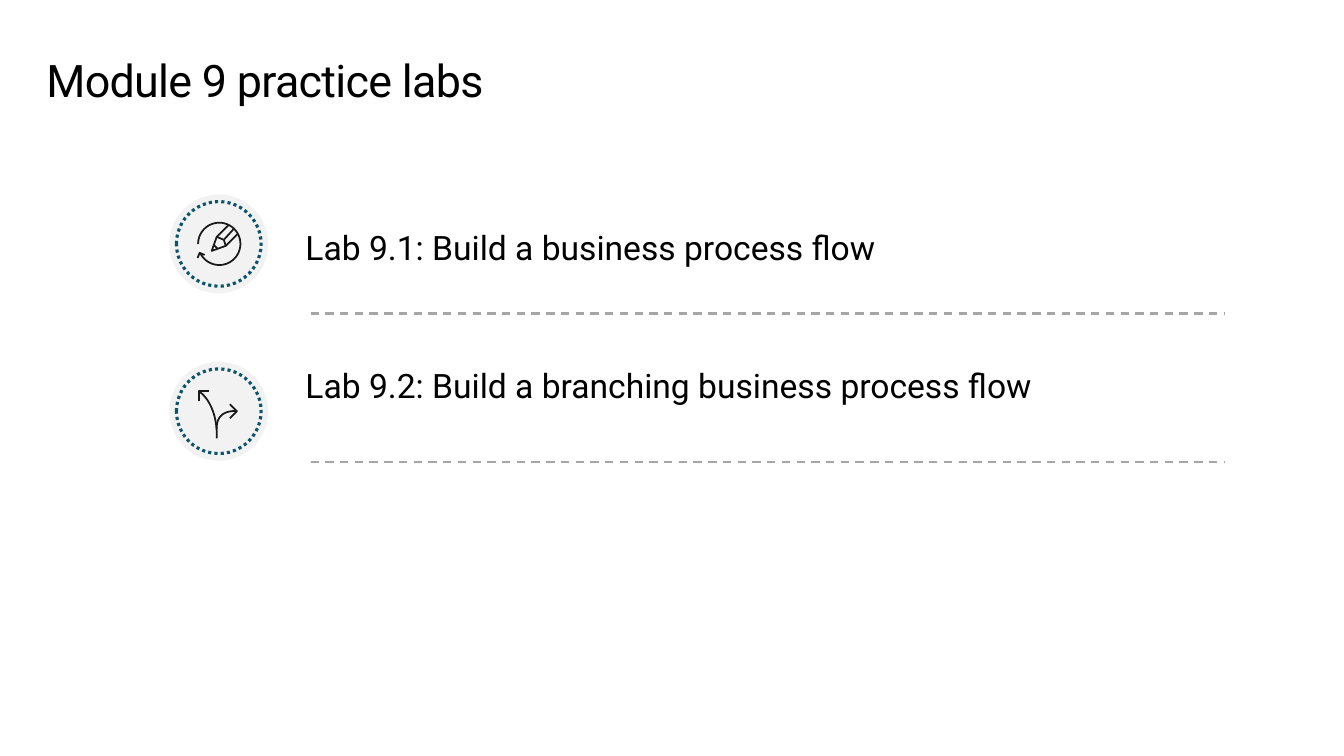
import dataclasses
import math

import pptx
import pptx.dml.color
import pptx.enum.dml
import pptx.enum.shapes
import pptx.enum.text
import pptx.oxml.ns
import pptx.util
from lxml import etree

Inches = pptx.util.Inches
Pt = pptx.util.Pt
Dash = pptx.enum.dml.MSO_LINE
Anchor = pptx.enum.text.MSO_ANCHOR
OVAL = pptx.enum.shapes.MSO_SHAPE.OVAL


@dataclasses.dataclass(frozen=True)
class Theme:
    """Colours, font and type sizes of the slide."""
    font: str = "Roboto"
    ink: str = "000000"
    disc: str = "F2F2F2"
    ring: str = "0B556A"
    icon: str = "191919"
    rule: str = "A6A6A6"
    title_size: int = 32
    label_size: int = 24


@dataclasses.dataclass(frozen=True)
class Lab:
    """One lab row: its wording, icon strokes and vertical positions."""
    label: str
    strokes: list
    badge_top: float
    label_top: float
    rule_y: float


THEME = Theme()
BADGE_LEFT, BADGE_SIZE, RING_INSET = 1.68, 0.98, 0.07
LABEL_LEFT, LABEL_WIDTH, LABEL_HEIGHT = 3.03, 9.08, 0.77
RULE_LEFT, RULE_WIDTH = 3.08, 9.06


def arc(center_x, center_y, radius, start, end, steps=48):
    """Return points along a circular arc, with angles in degrees."""
    angles = [math.radians(start + (end - start) * i / steps) for i in range(steps + 1)]
    return [(center_x + radius * math.cos(a), center_y + radius * math.sin(a)) for a in angles]


def bezier(p0, p1, p2, p3, steps=24):
    """Return points along a cubic curve."""
    points = []
    for i in range(steps + 1):
        t = i / steps
        weights = ((1 - t) ** 3, 3 * t * (1 - t) ** 2, 3 * t * t * (1 - t), t ** 3)
        points.append(tuple(sum(w * p[axis] for w, p in zip(weights, (p0, p1, p2, p3)))
                            for axis in (0, 1)))
    return points


PENCIL = [
    arc(0.495, 0.49, 0.21, 180, 515),
    [(0.35, 0.60), (0.30, 0.58), (0.28, 0.63)],
    [(0.59, 0.30), (0.47, 0.42), (0.42, 0.56), (0.56, 0.51), (0.68, 0.39)],
    [(0.47, 0.42), (0.54, 0.45), (0.64, 0.34)],
    [(0.56, 0.51), (0.54, 0.45)],
    [(0.44, 0.50), (0.48, 0.54)],
]
BRANCH = [
    [(0.60, 0.42), (0.67, 0.49), (0.60, 0.56)],
    [(0.39, 0.29), (0.29, 0.29), (0.29, 0.39)],
    bezier((0.47, 0.76), (0.48, 0.40), (0.29, 0.29), (0.29, 0.29)),
    bezier((0.67, 0.49), (0.67, 0.49), (0.46, 0.46), (0.47, 0.67)),
]
LABS = [
    Lab("Lab 9.1: Build a business process flow", PENCIL, 1.93, 2.07, 3.11),
    Lab("Lab 9.2: Build a branching business process flow", BRANCH, 3.59, 3.44, 4.58),
]


def rgb(value):
    """Turn a hex string into a colour."""
    return pptx.dml.color.RGBColor.from_string(value)


def style_line(line, color, width, dash=None):
    """Set colour, width and dash of a line."""
    line.color.rgb = rgb(color)
    line.width = Pt(width)
    if dash is not None:
        line.dash_style = dash


def write(frame, text, size, anchor, insets):
    """Write one left-aligned run into a text frame and return it."""
    frame.word_wrap = True
    frame.auto_size = pptx.enum.text.MSO_AUTO_SIZE.NONE
    frame.vertical_anchor = anchor
    (frame.margin_left, frame.margin_top,
     frame.margin_right, frame.margin_bottom) = map(Inches, insets)
    paragraph = frame.paragraphs[0]
    paragraph.alignment = pptx.enum.text.PP_ALIGN.LEFT
    run = paragraph.add_run()
    run.text = text
    run.font.name = THEME.font
    run.font.size = Pt(size)
    run.font.color.rgb = rgb(THEME.ink)
    return run


def add_title(slide, text, left, top, width, height):
    """Place and format the slide title."""
    title = slide.shapes.title
    title.left, title.top, title.width, title.height = map(Inches, (left, top, width, height))
    run = write(title.text_frame, text, THEME.title_size, Anchor.TOP, (0, 0.1, 0.16, 0.1))
    title.text_frame.paragraphs[0].line_spacing = 0.9
    run.font._element.set("spc", "-50")


def add_badge(slide, left, top, size):
    """Draw a pale disc with a dotted ring inside it."""
    badge = slide.shapes.add_group_shape()
    for inset in (0, RING_INSET):
        diameter = size - 2 * inset
        circle = badge.shapes.add_shape(
            OVAL, *map(Inches, (left + inset, top + inset, diameter, diameter)))
        circle.shadow.inherit = False
        if inset:
            circle.fill.background()
            style_line(circle.line, THEME.ring, 2.25, Dash.ROUND_DOT)
        else:
            circle.fill.solid()
            circle.fill.fore_color.rgb = rgb(THEME.disc)
            circle.line.fill.background()


def add_icon(slide, strokes, left, top):
    """Draw the strokes of an icon as one open outline."""
    placed = [[(Inches(left + x), Inches(top + y)) for x, y in stroke] for stroke in strokes]
    builder = slide.shapes.build_freeform(*placed[0][0])
    for index, stroke in enumerate(placed):
        if index:
            builder.move_to(*stroke[0])
        builder.add_line_segments(stroke[1:], close=False)
    icon = builder.convert_to_shape()
    icon.shadow.inherit = False
    icon.fill.background()
    style_line(icon.line, THEME.icon, 1.25)


def add_rule(slide, left, y, width):
    """Draw a dashed rule below a lab."""
    rule = slide.shapes.add_connector(
        pptx.enum.shapes.MSO_CONNECTOR.STRAIGHT, *map(Inches, (left, y, left + width, y)))
    style_line(rule.line, THEME.rule, 1.5, Dash.DASH)
    etree.SubElement(rule._element.spPr, pptx.oxml.ns.qn("a:effectLst"))


def add_lab(slide, lab):
    """Place the label, rule, badge and icon of one lab."""
    label = slide.shapes.add_textbox(
        *map(Inches, (LABEL_LEFT, lab.label_top, LABEL_WIDTH, LABEL_HEIGHT)))
    write(label.text_frame, lab.label, THEME.label_size, Anchor.MIDDLE, (0, 0, 0, 0))
    add_rule(slide, RULE_LEFT, lab.rule_y, RULE_WIDTH)
    add_badge(slide, BADGE_LEFT, lab.badge_top, BADGE_SIZE)
    add_icon(slide, lab.strokes, BADGE_LEFT, lab.badge_top)


def main():
    """Build the practice labs slide and save it."""
    deck = pptx.Presentation()
    deck.slide_width, deck.slide_height = Inches(13.33), Inches(7.5)
    slide = deck.slides.add_slide(deck.slide_layouts.get_by_name("Title Only"))
    add_title(slide, "Module 9 practice labs", 0.46, 0.48, 12.4, 0.74)
    for lab in LABS:
        add_lab(slide, lab)
    deck.save("out.pptx")


if __name__ == "__main__":
    main()
